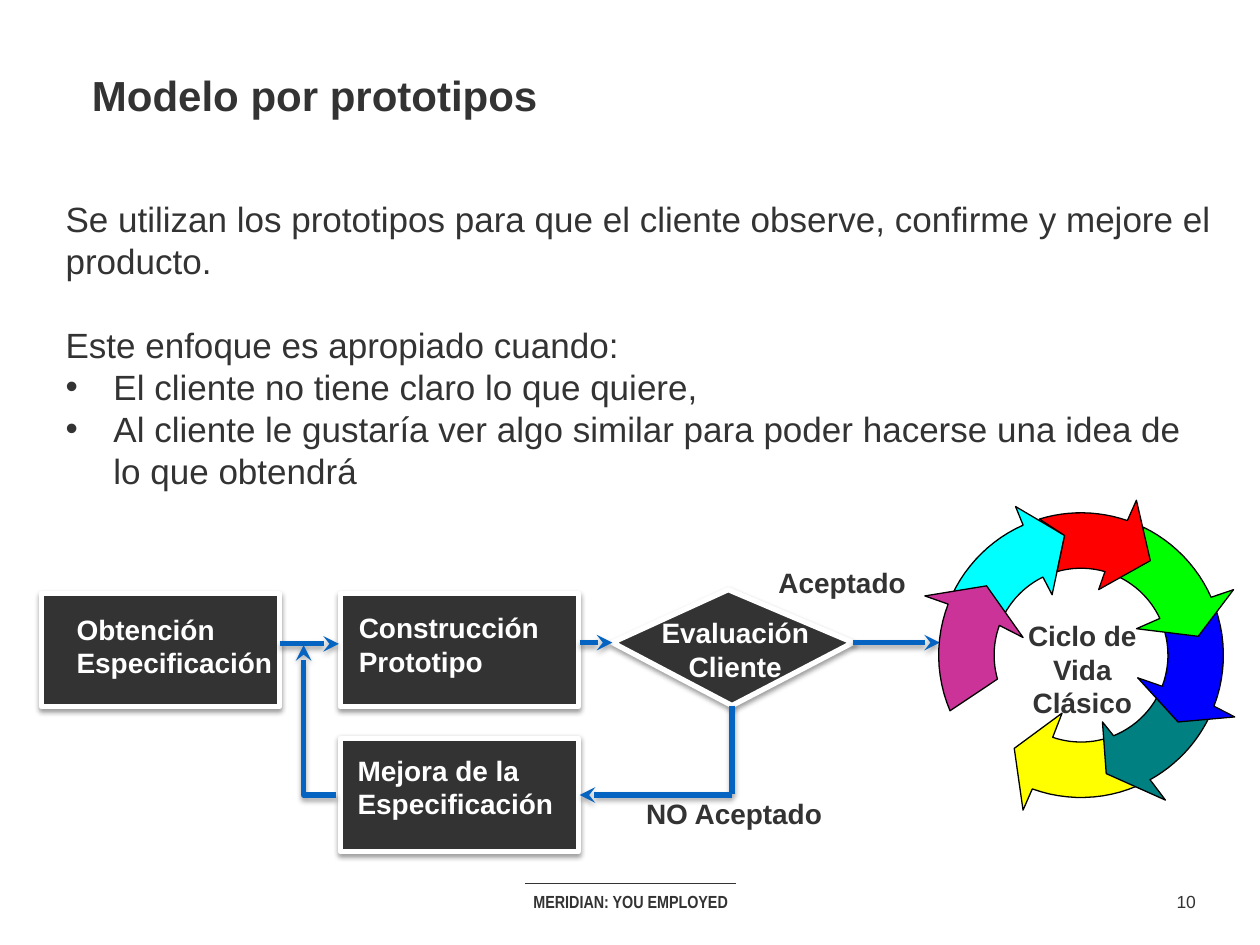
"""Build the slide on the prototype model with its flow diagram and life-cycle ring."""
from math import cos, radians, sin

from lxml import etree
from pptx import Presentation
from pptx.dml.color import RGBColor
from pptx.enum.shapes import MSO_CONNECTOR as CONNECTOR, MSO_SHAPE as SHAPE
from pptx.enum.text import MSO_ANCHOR as ANCHOR, MSO_AUTO_SIZE as AUTO_SIZE, PP_ALIGN as ALIGN
from pptx.oxml.ns import qn
from pptx.util import Inches, Pt

DARK, WHITE, BLUE, BLACK = "333333", "FFFFFF", "0563C1", "000000"
rgb = RGBColor.from_string


def add_text(text, box, size, color=DARK, bold=True, align=ALIGN.LEFT, font="Arial"):
    """Add a wrapped text box with one paragraph."""
    frame = slide.shapes.add_textbox(*map(Inches, box)).text_frame
    frame.word_wrap = True
    paragraph = frame.paragraphs[0]
    paragraph.text = text
    paragraph.alignment = align
    paragraph.font.name = font
    paragraph.font.size = Pt(size)
    paragraph.font.bold = bold
    paragraph.font.color.rgb = rgb(color)


def style_outline(shape, color, arrow=False, alpha=38, distance=1.6):
    """Give a shape a thick outline, an optional arrowhead and a soft shadow."""
    shape.line.color.rgb = rgb(color)
    shape.line.width = Pt(3)
    properties = shape._element.spPr
    if arrow:
        etree.SubElement(properties.find(qn("a:ln")), qn("a:tailEnd"), type="stealth")
    effects = etree.SubElement(properties, qn("a:effectLst"))
    shadow = etree.SubElement(effects, qn("a:outerShdw"), blurRad=str(Pt(3.1)),
                              dist=str(Pt(distance)), dir="5400000", rotWithShape="0")
    shade = etree.SubElement(shadow, qn("a:srgbClr"), val=BLACK)
    etree.SubElement(shade, qn("a:alpha"), val=str(alpha * 1000))


presentation = Presentation()
presentation.slide_width, presentation.slide_height = Inches(10), Inches(7.5)
slide = presentation.slides.add_slide(presentation.slide_layouts[1])

title, body = slide.shapes.title, slide.placeholders[1]
title.left, title.top, title.width, title.height = map(Inches, (0.63, 0.45, 8.75, 0.61))
body.left, body.top, body.width, body.height = map(Inches, (0.42, 1.52, 9.31, 2.46))
title.text_frame.text = "Modelo por prototipos"
title.text_frame.vertical_anchor = ANCHOR.MIDDLE
body.text_frame.text = "\n".join([
    "Se utilizan los prototipos para que el cliente observe, confirme y mejore el producto.",
    "Este enfoque es apropiado cuando:",
    "El cliente no tiene claro lo que quiere,",
    "Al cliente le gustaría ver algo similar para poder hacerse una idea de lo que obtendrá",
])
for placeholder, size in ((title, 24), (body, 20)):
    placeholder.text_frame.auto_size = AUTO_SIZE.NONE
    for index, paragraph in enumerate(placeholder.text_frame.paragraphs):
        bulleted = index > 1
        paragraph.alignment = ALIGN.LEFT
        paragraph.space_before = Pt(24 if index == 1 else 0)
        layout = paragraph._p.get_or_add_pPr()
        layout.set("marL", str(Inches(0.38 * bulleted)))
        layout.set("indent", str(Inches(-0.38 * bulleted)))
        if bulleted:
            etree.SubElement(layout, qn("a:buFont"), typeface="Arial")
            etree.SubElement(layout, qn("a:buChar"), char="•")
        else:
            etree.SubElement(layout, qn("a:buNone"))
        paragraph.font.name = "Arial"
        paragraph.font.size = Pt(size)
        paragraph.font.bold = placeholder is title
        paragraph.font.color.rgb = rgb(DARK)

footer_rule = slide.shapes.add_connector(
    CONNECTOR.STRAIGHT, *map(Inches, (4.17, 7.01, 5.84, 7.01)))
footer_rule.line.color.rgb = rgb(DARK)
footer_rule.line.width = Pt(0.75)
etree.SubElement(footer_rule._element.spPr, qn("a:effectLst"))
add_text("MERIDIAN: YOU EMPLOYED", (3.67, 7.02, 2.67, 0.27), 10,
         align=ALIGN.CENTER, font="Arial Narrow")
add_text("10", (9.23, 7.02, 0.37, 0.27), 10, bold=False, align=ALIGN.CENTER)

steps = [slide.shapes.add_shape(SHAPE.RECTANGLE, *map(Inches, (left, top, 1.89, 0.9)))
         for left, top in ((0.33, 4.71), (2.7, 4.71), (2.7, 5.86))]
decision_builder = slide.shapes.build_freeform(Inches(4.86), Inches(5.1))
decision_builder.add_line_segments(
    [(Inches(x), Inches(y)) for x, y in ((5.78, 4.68), (6.77, 5.1), (5.81, 5.6))])
for step in steps + [decision_builder.convert_to_shape()]:
    step.fill.solid()
    step.fill.fore_color.rgb = rgb(DARK)
    style_outline(step, WHITE)

for ends, arrow in (
    ((2.22, 5.11, 2.69, 5.11), True),
    ((4.6, 5.1, 4.86, 5.1), True),
    ((5.81, 5.6, 5.81, 6.3), False),
    ((5.81, 6.31, 4.6, 6.31), True),
    ((6.77, 5.1, 7.46, 5.1), True),
):
    connector = slide.shapes.add_connector(CONNECTOR.STRAIGHT, *map(Inches, ends))
    style_outline(connector, BLUE, arrow, alpha=35, distance=1.8)

return_builder = slide.shapes.build_freeform(Inches(2.67), Inches(6.31))
return_builder.add_line_segments(
    [(Inches(2.41), Inches(6.31)), (Inches(2.41), Inches(5.12))], close=False)
return_path = return_builder.convert_to_shape()
return_path.fill.background()
style_outline(return_path, BLUE, arrow=True, alpha=35, distance=1.8)

for text, box, color, align in (
    ("Aceptado", (6.08, 4.44, 1.48, 0.37), DARK, ALIGN.LEFT),
    ("NO Aceptado", (5.03, 6.27, 2.03, 0.37), DARK, ALIGN.LEFT),
    ("Evaluación Cliente", (5.09, 4.84, 1.49, 0.64), WHITE, ALIGN.CENTER),
    ("Mejora de la Especificación", (2.74, 5.93, 1.96, 0.64), WHITE, ALIGN.LEFT),
    ("Construcción Prototipo", (2.75, 4.8, 1.84, 0.64), WHITE, ALIGN.LEFT),
    ("Obtención Especificación", (0.51, 4.81, 2.19, 0.64), WHITE, ALIGN.LEFT),
):
    add_text(text, box, 16, color, align=align)

CENTER_X, CENTER_Y, OUTER, INNER, ARC_STEPS = 8.58, 5.2, 1.13, 0.69, 12
ring_arrows = [
    ("00FFFF", (205, 246), (244, 205), [(8.06, 4.02), (8.45, 4.25), (8.35, 4.72)], []),
    ("CC3399", (157, 201), (200, 164), [(7.34, 4.73), (7.83, 4.65), (8.12, 5.06)], []),
    ("FFFF00", (67, 110), (109, 73), [(8.12, 6.43), (8.05, 5.94), (8.43, 5.66)], []),
    ("008080", (26, 61), (68, 26), [(9.25, 6.35), (8.78, 6.14), (8.75, 5.73)], []),
    ("0000FF", (-23, 21), (21, -18), [(9.8, 5.69), (9.35, 5.73), (9.03, 5.38)], []),
    ("00FF00", (-64, -24), (-25, -64), [(9.79, 4.68), (9.51, 5.05), (9.02, 4.99)], []),
    ("FF0000", (-107, -71), (-74, -106), [(9.02, 3.97), (9.13, 4.45), (8.72, 4.68)],
     [(8.45, 4.25)]),
]
for color, outer_angles, inner_angles, head, notch in ring_arrows:
    outer_arc, inner_arc = [
        [(CENTER_X + radius * cos(radians(start + (end - start) * step / ARC_STEPS)),
          CENTER_Y + radius * sin(radians(start + (end - start) * step / ARC_STEPS)))
         for step in range(ARC_STEPS + 1)]
        for radius, (start, end) in ((OUTER, outer_angles), (INNER, inner_angles))
    ]
    outline = [(Inches(x), Inches(y)) for x, y in outer_arc + head + inner_arc + notch]
    builder = slide.shapes.build_freeform(*outline[0])
    builder.add_line_segments(outline[1:])
    ring_arrow = builder.convert_to_shape()
    ring_arrow.shadow.inherit = False
    ring_arrow.fill.solid()
    ring_arrow.fill.fore_color.rgb = rgb(color)
    ring_arrow.line.color.rgb = rgb(BLACK)
    ring_arrow.line.width = Pt(0.75)
add_text("Ciclo de Vida Clásico", (7.93, 4.86, 1.32, 0.64), 16, align=ALIGN.CENTER)

presentation.save("out.pptx")
